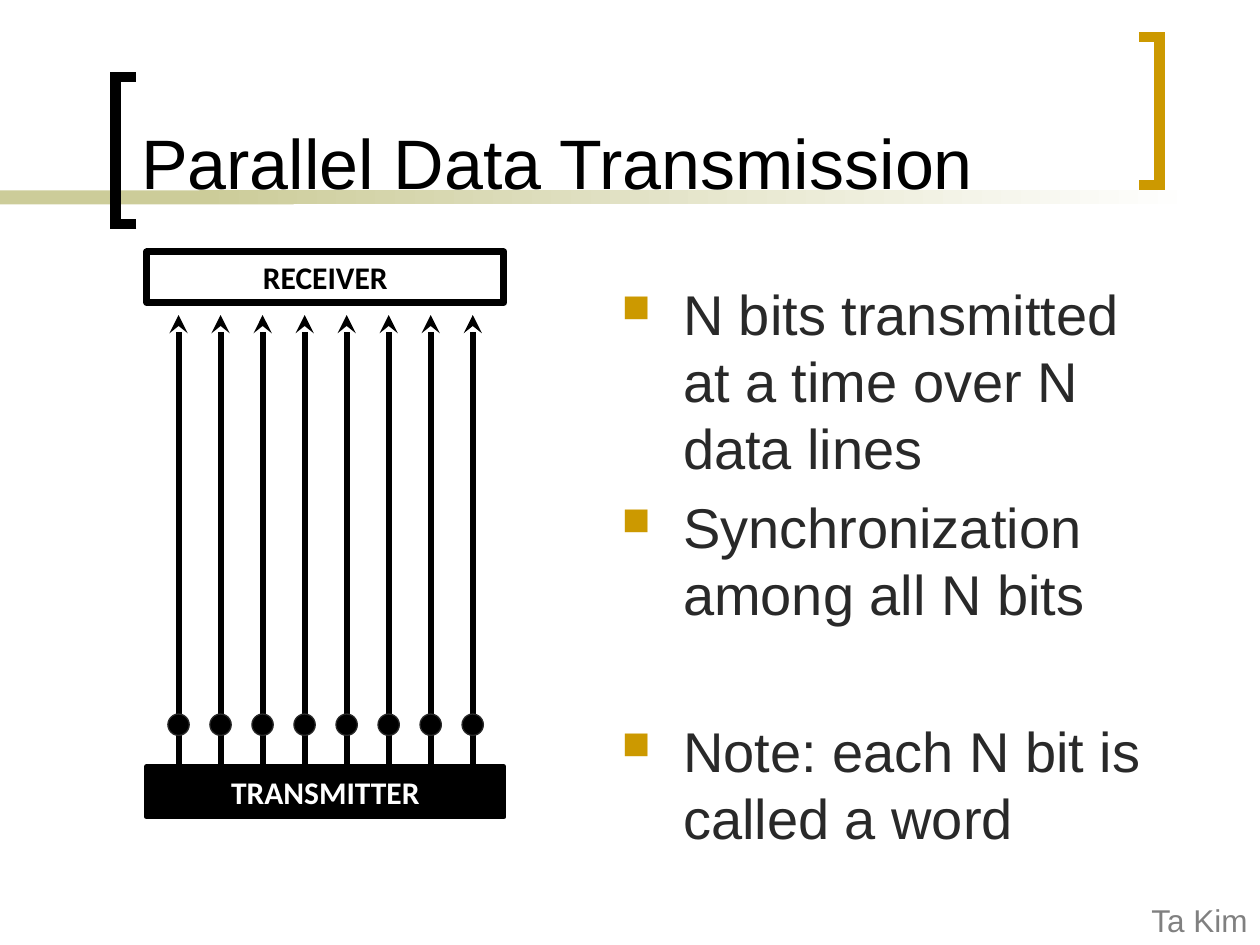
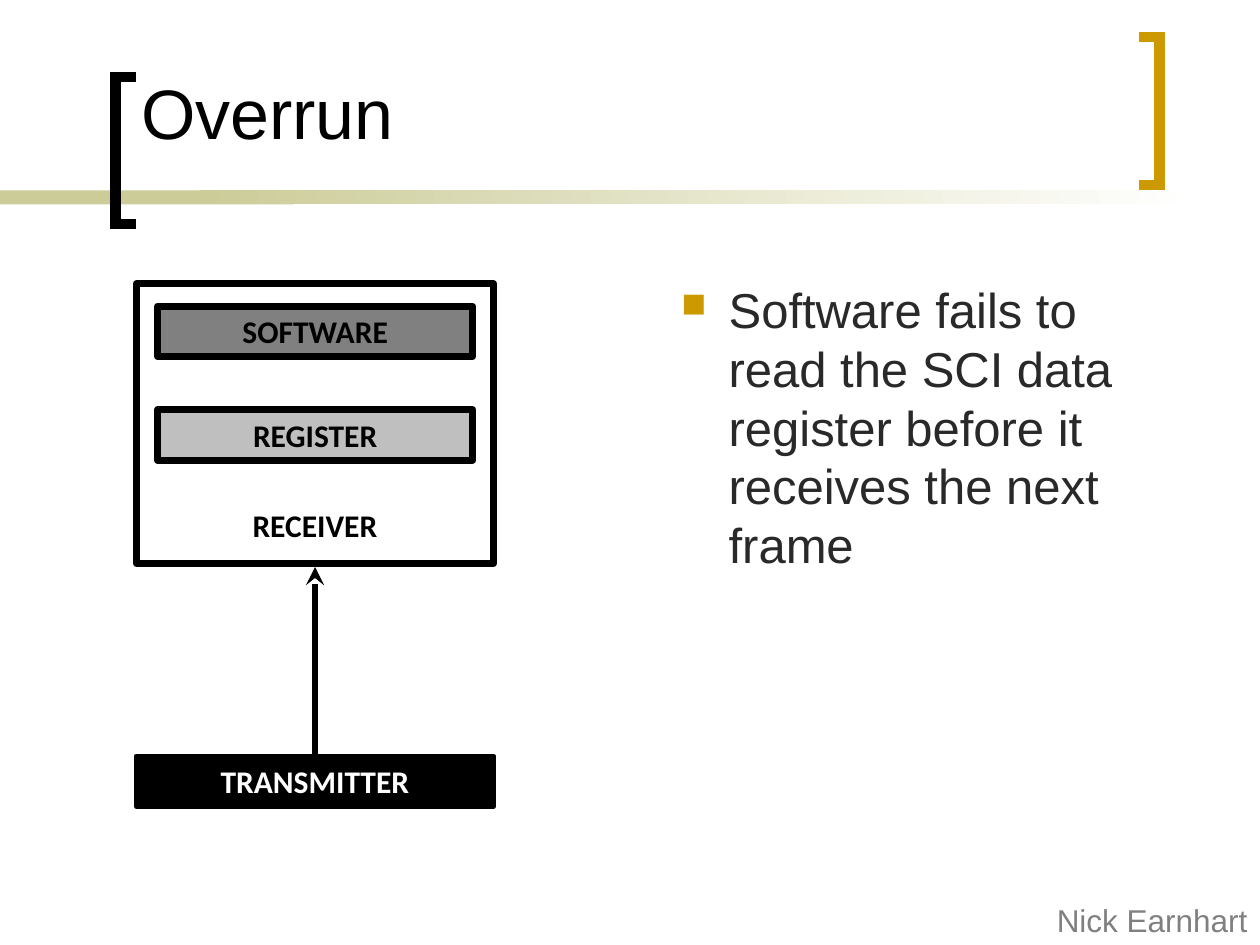
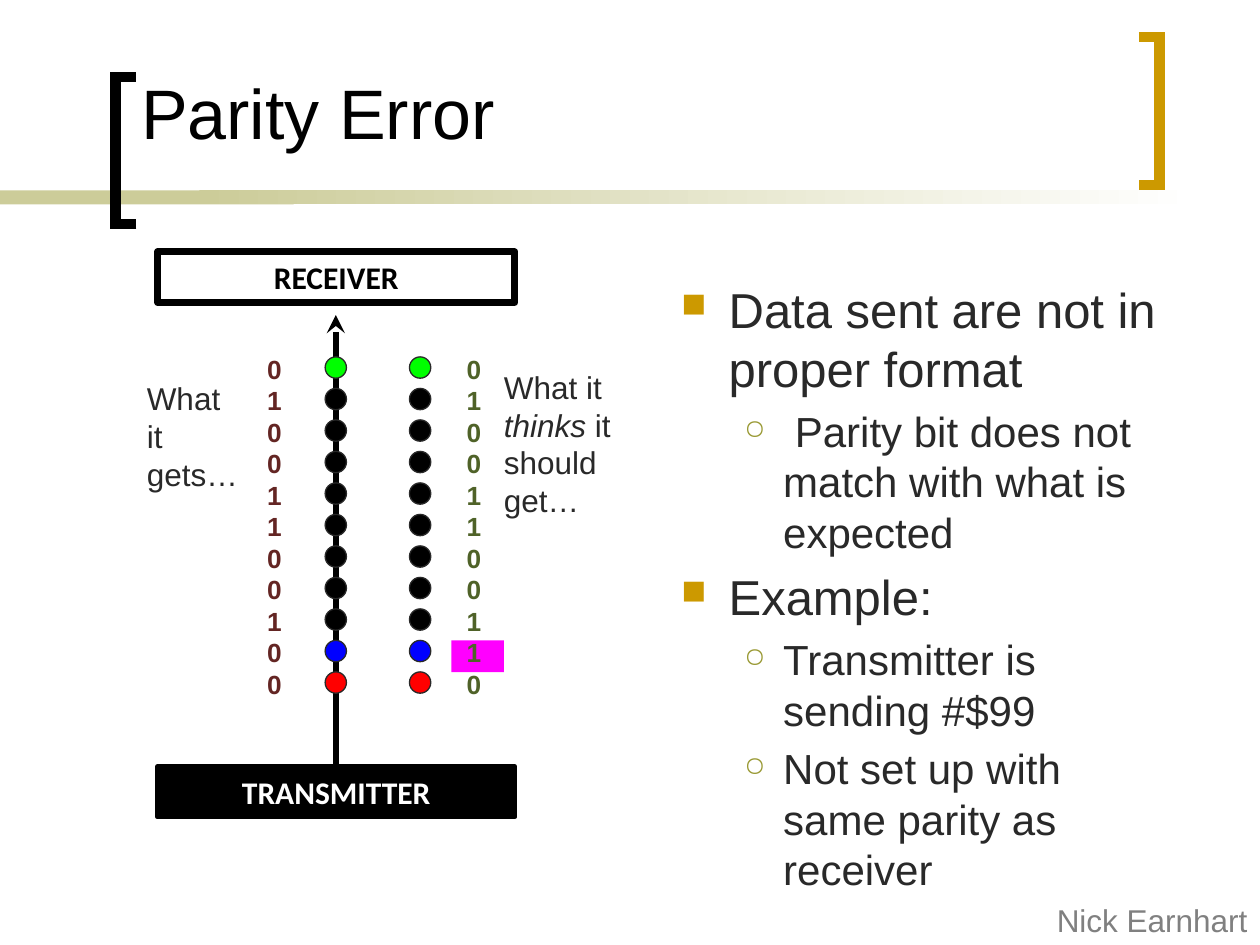
import pptx
import pptx.dml.color
import pptx.enum.shapes
import pptx.enum.text
import pptx.oxml
import pptx.oxml.ns
import pptx.util

Cm = pptx.util.Cm
Pt = pptx.util.Pt
RGBColor = pptx.dml.color.RGBColor
SHAPE = pptx.enum.shapes.MSO_SHAPE
ALIGN = pptx.enum.text.PP_ALIGN
ANCHOR = pptx.enum.text.MSO_ANCHOR

BLACK = RGBColor(0x00, 0x00, 0x00)
WHITE = RGBColor(0xFF, 0xFF, 0xFF)
INK = RGBColor(0x29, 0x29, 0x29)
GRAY = RGBColor(0x80, 0x80, 0x80)
SILVER = RGBColor(0xBF, 0xBF, 0xBF)
SAND = RGBColor(0xCC, 0xCC, 0x99)
GOLD = RGBColor(0xCC, 0x99, 0x00)
OLIVE = RGBColor(0x99, 0x99, 0x33)
RED = RGBColor(0xFF, 0x00, 0x00)
BLUE = RGBColor(0x00, 0x00, 0xFF)
GREEN = RGBColor(0x00, 0xFF, 0x00)
MAGENTA = RGBColor(0xFF, 0x00, 0xFF)
MAROON = RGBColor(0x63, 0x25, 0x23)
MOSS = RGBColor(0x4F, 0x62, 0x28)

BOX_W, BOX_H = 7.2, 1.02
DOT = 0.43


def add_xml(parent, tag, **attrs):
    el = pptx.oxml.parse_xml(f"<a:{tag} {pptx.oxml.ns.nsdecls('a')}/>")
    for name, value in attrs.items():
        el.set(name, str(value))
    parent.append(el)
    return el


def add_run(p, text, size, color, font="Arial", bold=False, italic=False):
    r = p.add_run()
    r.text = text
    f = r.font
    f.name, f.size, f.bold, f.italic = font, Pt(size), bold, italic
    f.color.rgb = color


def add_block(s, kind, x, y, w, h, fill=None, line=None, width=0.75):
    sp = s.shapes.add_shape(kind, Cm(x), Cm(y), Cm(w), Cm(h))
    sp.shadow.inherit = False
    if fill is None:
        sp.fill.background()
    else:
        sp.fill.solid()
        sp.fill.fore_color.rgb = fill
    if line is None:
        sp.line.fill.background()
    else:
        sp.line.color.rgb = line
        sp.line.width = Pt(width)
    return sp


def add_box(s, label, x, y, w=BOX_W, h=BOX_H, fill=None, color=BLACK, width=4):
    sp = add_block(s, SHAPE.RECTANGLE, x, y, w, h, fill, BLACK, width)
    tf = sp.text_frame
    tf.word_wrap = True
    tf.vertical_anchor = ANCHOR.MIDDLE
    p = tf.paragraphs[0]
    p.alignment = ALIGN.CENTER
    add_run(p, label, 18, color, "Calibri", bold=True)
    return sp


def add_transmitter(s, x, y):
    add_box(s, "TRANSMITTER", x, y, fill=BLACK, color=WHITE, width=2.75)


def add_dot(s, cx, cy, fill=BLACK):
    add_block(s, SHAPE.OVAL, cx - DOT / 2, cy - DOT / 2, DOT, DOT, fill, INK)


def add_arrow(s, x, y_from, y_to):
    cn = s.shapes.add_connector(pptx.enum.shapes.MSO_CONNECTOR.STRAIGHT,
                                Cm(x), Cm(y_from), Cm(x), Cm(y_to))
    cn.line.color.rgb = BLACK
    cn.line.width = Pt(3.5)
    add_xml(cn.line._get_or_add_ln(), "tailEnd", type="stealth")
    add_xml(cn._element.spPr, "effectLst")


def add_text(s, x, y, w, h, paragraphs, size, color, align=ALIGN.LEFT, bold=False):
    tf = s.shapes.add_textbox(Cm(x), Cm(y), Cm(w), Cm(h)).text_frame
    tf.word_wrap = True
    for i, runs in enumerate(paragraphs):
        p = tf.add_paragraph() if i else tf.paragraphs[0]
        p.alignment = align
        for text, italic in runs:
            add_run(p, text, size, color, bold=bold, italic=italic)


def add_bits(s, x, bits, color):
    add_text(s, x, 6.99, 0.85, 7.24, [[(bit, False)] for bit in bits],
             15, color, ALIGN.RIGHT, bold=True)


def add_bullets(s, x, w, items, size, indent):
    tf = s.shapes.add_textbox(Cm(x), Cm(5.51), Cm(w), Cm(11.43)).text_frame
    tf.word_wrap = True
    styles = [("■", GOLD, 70, size, indent, indent),
              ("○", OLIVE, 65, size - 4, 2.06, 0.79)]
    for i, (level, text, extra) in enumerate(items):
        char, color, percent, pts, margin, hang = styles[level]
        p = tf.add_paragraph() if i else tf.paragraphs[0]
        p.level = level
        pPr = p._p.get_or_add_pPr()
        pPr.set("marL", str(Cm(margin)))
        pPr.set("indent", str(-Cm(hang)))
        add_xml(add_xml(pPr, "buClr"), "srgbClr", val=color)
        add_xml(pPr, "buSzPct", val=percent * 1000)
        add_xml(pPr, "buChar", char=char)
        if i:
            p.space_before = Pt(pts * 0.2 + extra)
        add_run(p, text, pts, INK)


def add_bracket(s, points, color):
    start, *rest = [(Cm(x), Cm(y)) for x, y in points]
    fb = s.shapes.build_freeform(*start)
    fb.add_line_segments(rest, close=False)
    sp = fb.convert_to_shape()
    sp.shadow.inherit = False
    sp.fill.background()
    sp.line.color.rgb = color
    sp.line.width = Pt(6)
    add_xml(sp.line._get_or_add_ln(), "miter", lim=800000)


def add_frame(prs, title, author, anchor=ANCHOR.MIDDLE):
    s = prs.slides.add_slide(prs.slide_layouts[5])
    add_block(s, SHAPE.RECTANGLE, 0, 3.84, 5.92, 0.28, SAND)
    fade = add_block(s, SHAPE.RECTANGLE, 4.02, 3.84, 20.11, 0.28)
    fade.fill.gradient()
    fade.fill.gradient_angle = 0
    for stop, color in zip(fade.fill.gradient_stops, (SAND, WHITE)):
        stop.color.rgb = color
    add_bracket(s, [(2.75, 4.52), (2.33, 4.52), (2.33, 1.55), (2.75, 1.55)], BLACK)
    add_bracket(s, [(22.96, 0.75), (23.38, 0.75), (23.38, 3.73), (22.96, 3.73)], GOLD)

    sp = s.shapes.title
    sp.left, sp.top, sp.width, sp.height = Cm(2.59), Cm(0.28), Cm(19.89), Cm(3.94)
    tf = sp.text_frame
    tf.word_wrap = True
    tf.vertical_anchor = anchor
    p = tf.paragraphs[0]
    p.alignment = ALIGN.LEFT
    add_run(p, title, 40, BLACK)

    add_text(s, 20.95, 18.03, 4.45, 1.02, [[(author, False)]], 18, GRAY, ALIGN.RIGHT)
    return s


def add_parallel_slide(prs):
    s = add_frame(prs, "Parallel Data Transmission", "Ta Kim", ANCHOR.BOTTOM)
    add_bullets(s, 12.28, 11.64, [
        (0, "N bits transmitted at a time over N data lines", 0),
        (0, "Synchronization among all N bits", 0),
        (0, "Note: each N bit is called a word", 44.8),
    ], 32, 1.24)
    first, last, count = 3.6, 9.53, 8
    for i in range(count):
        x = first + i * (last - first) / (count - 1)
        add_arrow(s, x, 15.45, 6.35)
        add_dot(s, x, 14.61)
    add_transmitter(s, 2.96, 15.45)
    add_box(s, "RECEIVER", 2.96, 5.08)


def add_overrun_slide(prs):
    s = add_frame(prs, "Overrun", "Nick Earnhart")
    add_bullets(s, 13.48, 10.44, [
        (0, "Software fails to read the SCI data register before it receives "
            "the next frame", 0),
    ], 28, 0.96)
    add_arrow(s, 6.35, 15.24, 11.43)
    receiver = add_box(s, "RECEIVER", 2.75, 5.72, h=5.64)
    receiver.text_frame.vertical_anchor = ANCHOR.BOTTOM
    receiver.text_frame.margin_bottom = Cm(0.4)
    add_box(s, "REGISTER", 3.18, 8.26, w=6.35, fill=SILVER)
    add_box(s, "SOFTWARE", 3.18, 6.17, w=6.35, fill=GRAY)
    add_transmitter(s, 2.75, 15.24)


def add_parity_slide(prs):
    s = add_frame(prs, "Parity Error", "Nick Earnhart")
    add_block(s, SHAPE.RECTANGLE, 9.1, 12.91, 1.06, 0.64, MAGENTA)
    add_bullets(s, 13.48, 10.44, [
        (0, "Data sent are not in proper format", 0),
        (1, " Parity bit does not match with what is expected", 0),
        (0, "Example:", 0),
        (1, "Transmitter is sending #$99", 0),
        (1, "Not set up with same parity as receiver", 0),
    ], 28, 0.96)
    add_transmitter(s, 3.18, 15.45)
    add_arrow(s, 6.77, 15.45, 6.35)
    add_box(s, "RECEIVER", 3.18, 5.08)
    frame_colors = [GREEN] + [BLACK] * 8 + [BLUE, RED]
    first, last = 7.41, 13.76
    step = (last - first) / (len(frame_colors) - 1)
    for x in (6.77, 8.47):
        for i, color in enumerate(frame_colors):
            add_dot(s, x, first + i * step, color)
    add_bits(s, 5.08, "01001100100", MAROON)
    add_bits(s, 9.1, "01001100110", MOSS)
    add_text(s, 2.71, 7.52, 2.37, 2.54, [[("What it gets…", False)]], 18, INK)
    add_text(s, 9.91, 7.29, 3.43, 3.3,
             [[("What it ", False), ("thinks", True), (" it should get…", False)]],
             18, INK)


def main():
    prs = pptx.Presentation()
    prs.slide_width, prs.slide_height = Cm(25.4), Cm(19.05)
    add_parallel_slide(prs)
    add_overrun_slide(prs)
    add_parity_slide(prs)
    prs.save("out.pptx")


if __name__ == "__main__":
    main()
